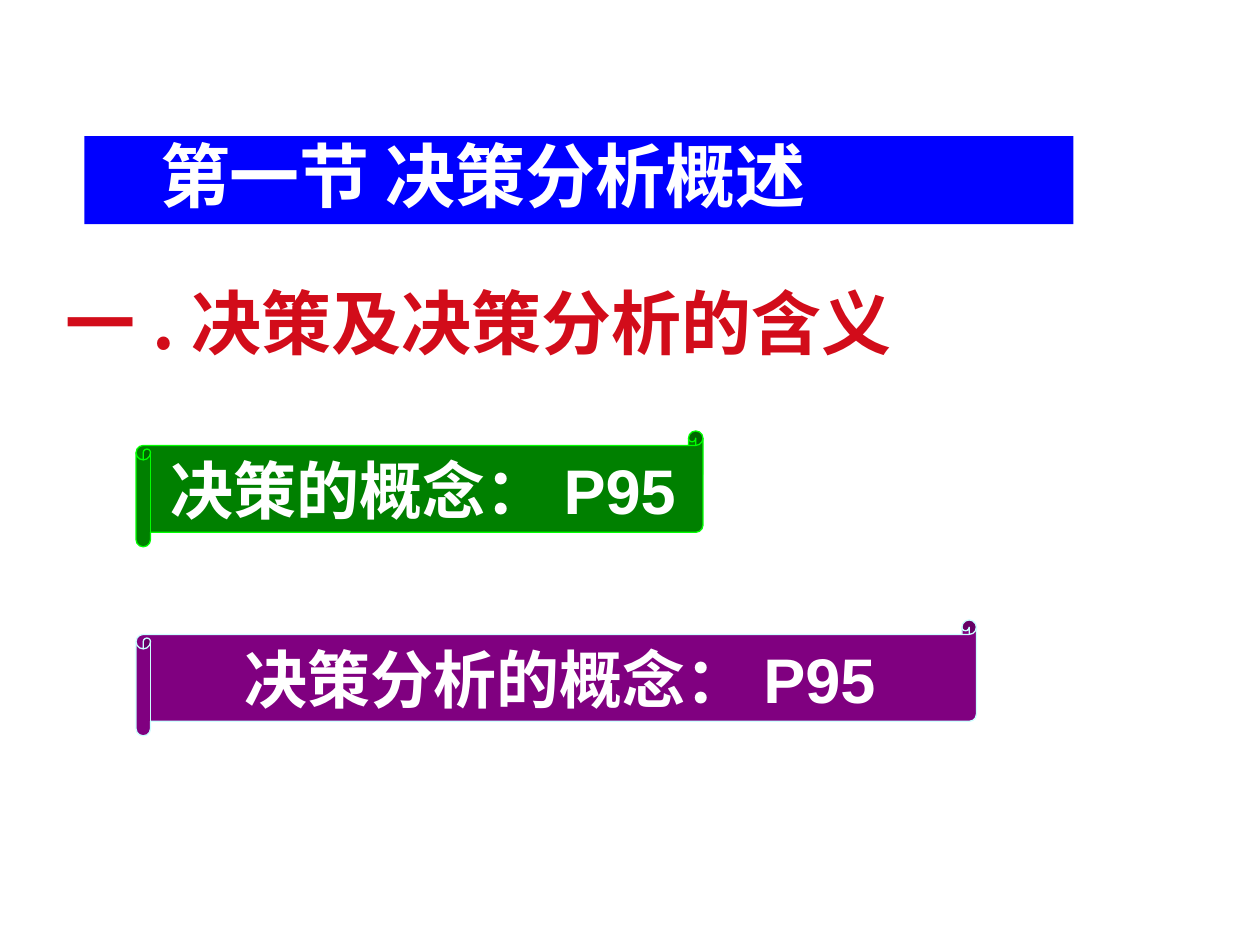
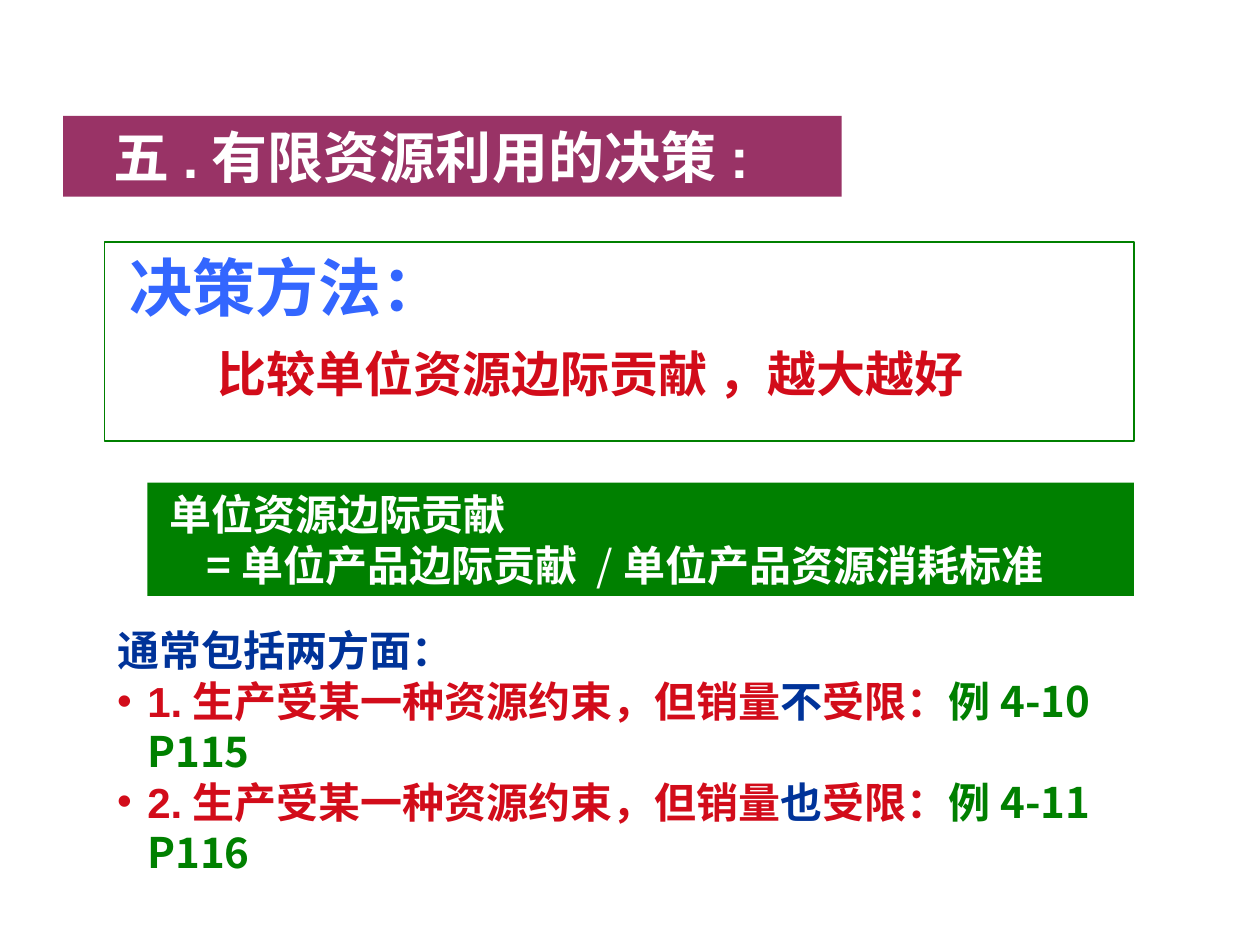
"""Builds two slides on decision analysis and decisions under limited resources."""
import pptx
import pptx.dml.color
import pptx.enum.shapes
import pptx.enum.text
import pptx.oxml
import pptx.oxml.ns
import pptx.util
from lxml import etree

Inches = pptx.util.Inches
Pt = pptx.util.Pt
rgb = pptx.dml.color.RGBColor.from_string
Align = pptx.enum.text.PP_ALIGN
Anchor = pptx.enum.text.MSO_ANCHOR
qn = pptx.oxml.ns.qn

WHITE, RED, GREEN, NAVY = "FFFFFF", "D20C1A", "008000", "003399"
PURPLE, BLUE, PLUM, SKY = "800080", "0000FF", "993366", "3366FF"
LIME, ICE = "00FF00", "CCFFFF"
ARIAL, CJK_SC, CJK_JP = "Arial", "Noto Sans CJK SC", "Noto Sans CJK JP"


def place(shape, box, fill=None, line=None, anchor=Anchor.TOP, wrap=True):
    """Position and paint a shape, and return its text frame."""
    shape.left, shape.top, shape.width, shape.height = map(Inches, box)
    shape.shadow.inherit = False
    if fill:
        shape.fill.solid()
        shape.fill.fore_color.rgb = rgb(fill)
    else:
        shape.fill.background()
    if line:
        shape.line.color.rgb = rgb(line)
        shape.line.width = Pt(0.75)
    else:
        shape.line.fill.background()
    frame = shape.text_frame
    frame.auto_size = pptx.enum.text.MSO_AUTO_SIZE.NONE
    frame.vertical_anchor = anchor
    frame.word_wrap = wrap
    return frame


def write(frame, text, size, color=WHITE, font=ARIAL, bold=True, align=Align.LEFT,
          left=0, hang=0, before=0, spacing=1.0, bullet=None, new=True):
    """Add a paragraph, or with new=False a run in the last paragraph."""
    paragraph = frame.paragraphs[-1]
    if new:
        if paragraph.runs:
            paragraph = frame.add_paragraph()
        properties = paragraph._p.get_or_add_pPr()
        properties.set("marL", str(Inches(left)))
        properties.set("indent", str(-Inches(hang)))
        if bullet:
            bullet_color = etree.SubElement(properties, qn("a:buClr"))
            etree.SubElement(bullet_color, qn("a:srgbClr"), val=color)
            etree.SubElement(properties, qn("a:buFont"), typeface=ARIAL)
            etree.SubElement(properties, qn("a:buChar"), char=bullet)
        else:
            etree.SubElement(properties, qn("a:buNone"))
        paragraph.alignment = align
        paragraph.line_spacing = spacing
        paragraph.space_before = Pt(before)
    run = paragraph.add_run()
    run.text = text
    run.font.size = Pt(size)
    run.font.bold = bold
    run.font.name = font
    run.font.color.rgb = rgb(color)
    east_asian = CJK_SC if font == ARIAL else font
    etree.SubElement(run._r.get_or_add_rPr(), qn("a:ea"), typeface=east_asian)


deck = pptx.Presentation()
deck.slide_width, deck.slide_height = Inches(10), Inches(7.5)

overview = deck.slides.add_slide(deck.slide_layouts[1])
section = place(overview.shapes.title, (0.67, 1.08, 7.85, 0.7), BLUE)
write(section, "第一节 决策分析概述", 40, font=CJK_SC, left=0.5, spacing=0.9)
meaning = place(overview.placeholders[1], (0.42, 2.17, 9.34, 0.92))
write(meaning, "一.决策及决策分析的含义", 40, RED, CJK_JP, left=0.38, hang=0.38)

concepts = [("决策的概念：P95", 3.42, 4.5, GREEN, LIME),
            ("决策分析的概念：P95", 4.92, 6.67, PURPLE, ICE)]
for concept, top, width, fill, edge in concepts:
    scroll = overview.shapes.add_shape(
        pptx.enum.shapes.MSO_SHAPE.HORIZONTAL_SCROLL, 0, 0, 0, 0)
    banner = place(scroll, (1.08, top, width, 0.92), fill, edge, Anchor.MIDDLE, False)
    write(banner, concept, 36, align=Align.CENTER)

resources = deck.slides.add_slide(deck.slide_layouts[3])
topic = place(resources.shapes.title, (0.5, 0.92, 6.18, 0.64), PLUM)
write(topic, "五.有限资源利用的决策:", 32, left=0.3)

method = place(resources.placeholders[1], (0.83, 1.92, 8.17, 1.58), line=GREEN)
write(method, "决策方法：", 36, SKY, left=0.1)
write(method, "比较单位资源边际贡献 ，越大越好", 28, RED, CJK_SC, left=0.8, before=11)

formula_band = resources.shapes.add_shape(
    pptx.enum.shapes.MSO_SHAPE.RECTANGLE, 0, 0, 0, 0)
formula = place(formula_band, (1.17, 3.83, 7.83, 0.9), GREEN)
write(formula, "单位资源边际贡献", 24, font=CJK_SC, left=0.08)
write(formula, "=单位产品边际贡献 ", 24, font=CJK_SC, left=0.37)
write(formula, "/", 24, font=CJK_SC, bold=False, new=False)
write(formula, "单位产品资源消耗标准", 24, font=CJK_SC, new=False)

cases = place(resources.placeholders[2], (0.83, 4.91, 8.67, 2.56))
write(cases, "通常包括两方面：", 24, NAVY)
for number, limit, example in [(1, "不", "例4-10 P115"), (2, "也", "例4-11 P116")]:
    write(cases, f"{number}.生产受某一种资源约束，但销量", 24, RED,
          left=0.24, hang=0.24, bullet="•")
    write(cases, limit, 24, NAVY, new=False)
    write(cases, "受限：", 24, RED, new=False)
    write(cases, example, 24, GREEN, CJK_JP, new=False)

deck.save("out.pptx")
